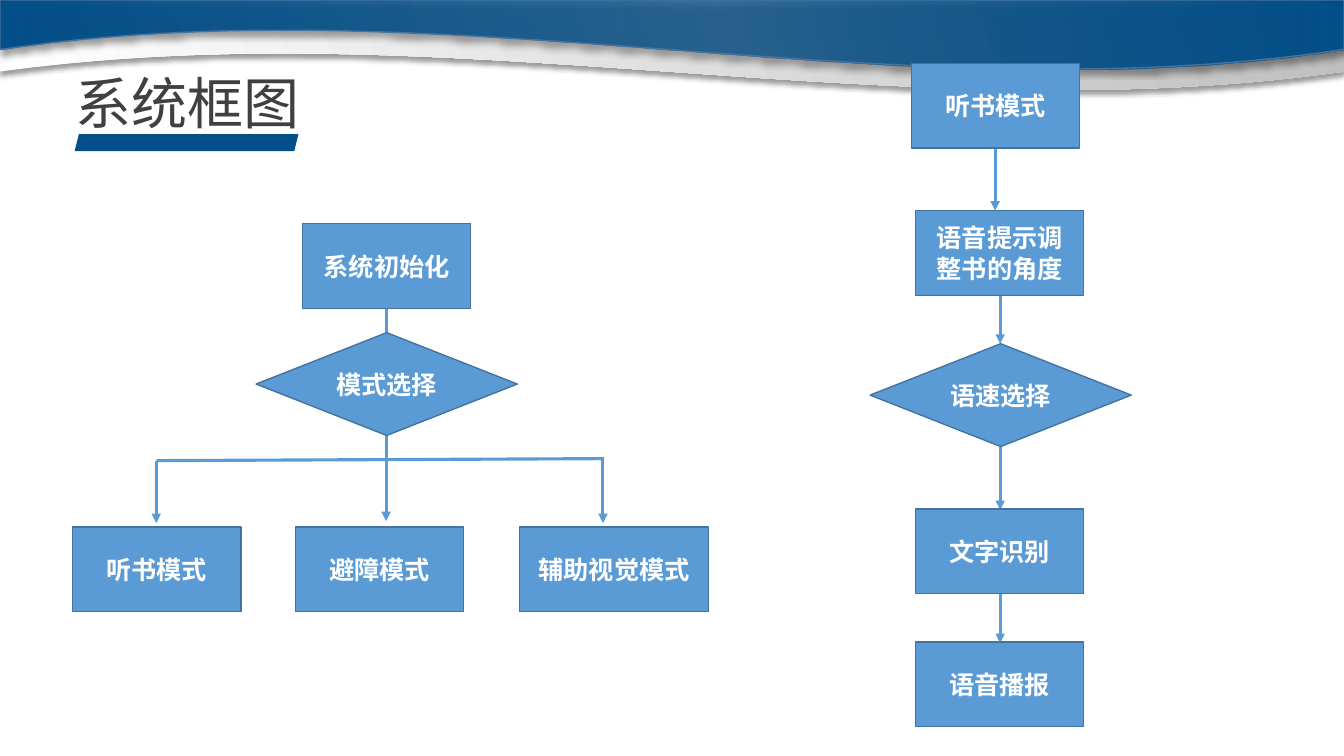
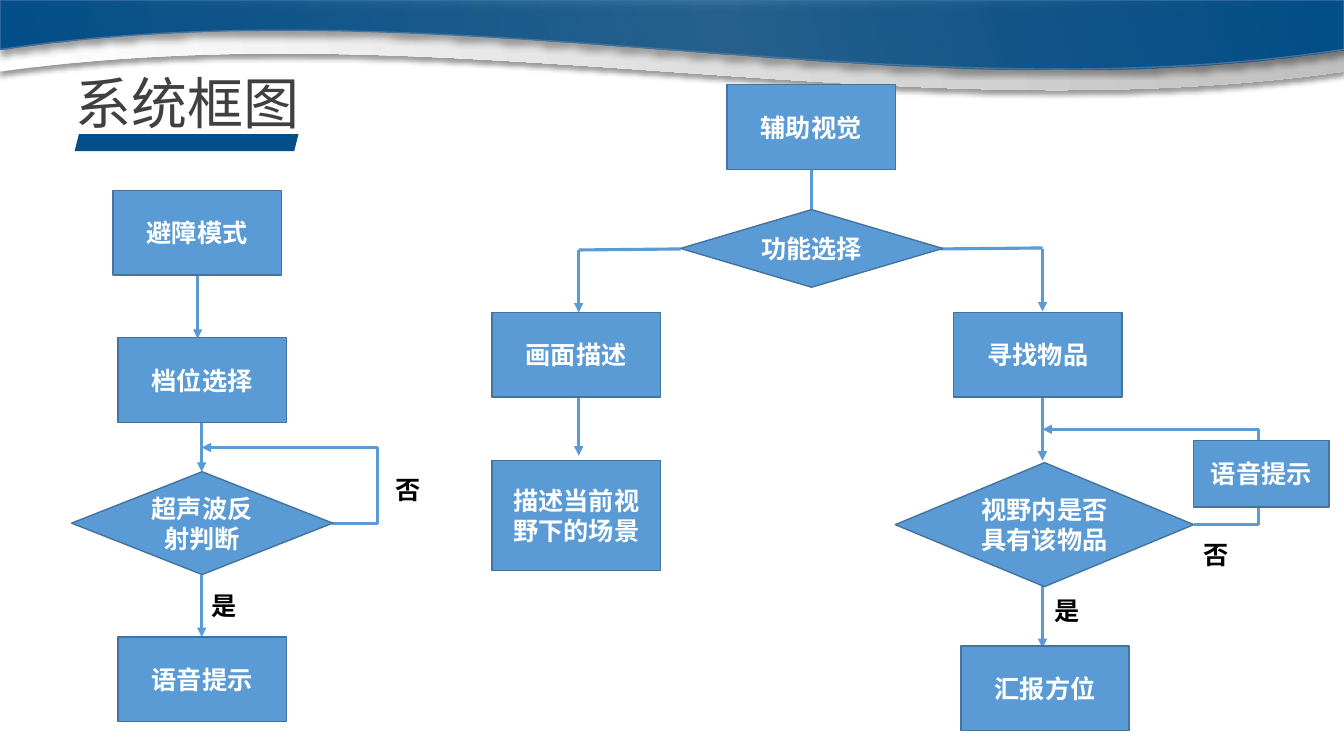
from dataclasses import dataclass, field

from pptx import Presentation
from pptx import util as u
from pptx.dml import color
from pptx.enum import shapes, text
from pptx.oxml import ns, parse_xml

COLORS = {
    "navy": "034F89", "box": "5B9BD5", "edge": "43739E", "title": "404040",
    "white": "FFFFFF", "silver": "BFBFBF", "black": "000000",
}
FONT = "Noto Sans CJK SC"
TITLE = "系统框图"
TITLE_FONT = {"name": FONT, "size": u.Pt(40), "bold": False}
LABEL_FONT = {"name": FONT, "size": u.Pt(18), "bold": True}
RECT = shapes.MSO_SHAPE.RECTANGLE
DECISION = shapes.MSO_SHAPE.FLOWCHART_DECISION
SLIDE_WIDTH = 13.33


@dataclass
class Node:
    label: str
    left: float
    top: float
    width: float = 1.67
    height: float = 0.84
    kind: int = RECT


@dataclass
class Link:
    start: tuple[float, float]
    end: tuple[float, float]
    arrow: bool = True
    bend: float | None = None  # elbow position as a share of the width


@dataclass
class Caption:
    label: str
    left: float
    top: float


@dataclass
class Band:
    edge: float  # height of the lower edge at the right side
    curve: list[tuple[float, float]]  # Bezier points, right to left
    stops: list[tuple[int, str, int]]  # position, colour, opacity
    outlined: bool


@dataclass
class Chart:
    links: list[Link]
    nodes: list[Node]
    captions: list[Caption] = field(default_factory=list)


def decision(label: str, left: float, top: float,
             width: float = 2.59, height: float = 1.02) -> Node:
    return Node(label, left, top, width, height, DECISION)


def down(x: float, top: float, bottom: float, arrow: bool = True) -> Link:
    return Link((x, top), (x, bottom), arrow)


BANDS = [
    Band(0.71, [(13.33, 0.71), (8.91, 1.34), (4.5, 0.1), (0.08, 0.7)],
         [(0, "white", 100), (100, "silver", 100)], False),
    Band(0.49, [(13.33, 0.49), (8.91, 1.16), (4.5, -0.16), (0.08, 0.48)],
         [(0, "navy", 100), (54, "navy", 75), (100, "navy", 100)], True),
]

CHARTS = [
    Chart(
        links=[
            down(1.55, 4.57, 5.19), down(5.98, 4.53, 5.19),
            Link((1.55, 4.57), (5.98, 4.55), False),
            down(3.83, 3.07, 4.55, False), down(3.83, 4.55, 5.17),
            down(9.87, 1.47, 2.09), down(9.92, 2.93, 3.41),
            down(9.92, 4.43, 5.06), down(9.92, 5.89, 6.38),
        ],
        nodes=[
            Node("系统初始化", 3, 2.22),
            decision("模式选择", 2.54, 3.3),
            Node("听书模式", 0.72, 5.23),
            Node("避障模式", 2.93, 5.23),
            Node("辅助视觉模式", 5.15, 5.23, 1.88),
            Node("听书模式", 9.04, 0.63),
            Node("语音提示调整书的角度", 9.08, 2.09),
            decision("语速选择", 8.63, 3.41),
            Node("文字识别", 9.08, 5.05),
            Node("语音播报", 9.08, 6.37),
        ],
    ),
    Chart(
        links=[
            down(8.05, 1.69, 2.08, False),
            Link((5.74, 2.48), (6.75, 2.47), False),
            Link((9.33, 2.47), (10.34, 2.46), False),
            down(5.74, 2.48, 3.1), down(10.34, 2.47, 3.09),
            down(5.74, 3.9, 4.52), down(10.34, 3.95, 4.57),
            down(10.34, 5.81, 6.43),
            Link((11.84, 5.2), (10.34, 4.26), bend=-0.43),
            down(1.96, 2.74, 3.36), down(2, 4.2, 4.68), down(2, 5.7, 6.32),
            Link((3.29, 5.19), (2, 4.44), bend=-0.35),
        ],
        nodes=[
            Node("辅助视觉", 7.21, 0.84),
            decision("功能选择", 6.75, 2.08, 2.6, 0.77),
            Node("画面描述", 4.88, 3.1),
            Node("描述当前视野下的场景", 4.88, 4.57, height=1.09),
            Node("寻找物品", 9.46, 3.1),
            decision("视野内是否具有该物品", 8.88, 4.59, 2.96, 1.23),
            Node("语音提示", 11.84, 4.37, 1.34, 0.66),
            Node("汇报方位", 9.53, 6.41),
            Node("避障模式", 1.12, 1.89),
            Node("档位选择", 1.17, 3.35),
            decision("超声波反射判断", 0.71, 4.68),
            Node("语音提示", 1.17, 6.32),
        ],
        captions=[
            Caption("是", 10.36, 5.86), Caption("否", 11.84, 5.3),
            Caption("是", 2, 5.81), Caption("否", 3.82, 4.66),
        ],
    ),
]


# Shared formatting
def rgb(name: str) -> color.RGBColor:
    return color.RGBColor.from_string(COLORS[name])


def element(tag: str, attributes: str = "", inner: str = ""):
    return parse_xml(f'<a:{tag} {ns.nsdecls("a")} {attributes}>{inner}</a:{tag}>')


def apply(target, values: dict) -> None:
    for name, value in values.items():
        setattr(target, name, value)


def write(box, words: str, font: dict, ink: str, frame_format: dict, align) -> None:
    frame = box.text_frame
    apply(frame, {"word_wrap": True, **frame_format})
    para = frame.paragraphs[0]
    para.alignment = align
    span = para.add_run()
    span.text = words
    apply(span.font, font)
    span.font.color.rgb = rgb(ink)
    span._r.get_or_add_rPr().append(element("ea", f'typeface="{FONT}"'))


def paint(box, fill: str, edge: str | None = None) -> None:
    box.shadow.inherit = False
    box.fill.solid()
    box.fill.fore_color.rgb = rgb(fill)
    outline(box, edge)


def outline(box, edge: str | None) -> None:
    if edge:
        box.line.color.rgb = rgb(edge)
        box.line.width = u.Pt(1)
    else:
        box.line.fill.background()


def place(left: float, top: float, width: float, height: float) -> list:
    return [u.Inches(value) for value in (left, top, width, height)]


# Wavy bands and title bar, kept on the layout
def bezier(points: list[tuple[float, float]], steps: int = 60) -> list:
    result = []
    for step in range(steps + 1):
        t = step / steps
        weights = ((1 - t) ** 3, 3 * t * (1 - t) ** 2, 3 * t * t * (1 - t), t ** 3)
        result.append(tuple(u.Inches(sum(w * point[axis] for w, point in zip(weights, points)))
                            for axis in (0, 1)))
    return result


def draw_band(page, band: Band):
    builder = page.shapes.build_freeform(0, 0)
    corner = (u.Inches(SLIDE_WIDTH), 0)
    builder.add_line_segments([corner, *bezier(band.curve), (0, u.Inches(band.edge))])
    wave = builder.convert_to_shape()
    outline(wave, "edge" if band.outlined else None)
    stops = "".join(
        f'<a:gs pos="{position * 1000}"><a:srgbClr val="{COLORS[name]}">'
        f'<a:alpha val="{opacity * 1000}"/></a:srgbClr></a:gs>'
        for position, name, opacity in band.stops)
    properties = wave.element.spPr
    properties.insert(2, element("gradFill", 'rotWithShape="1"',
                                 f'<a:gsLst>{stops}</a:gsLst><a:lin ang="{342 * 60000}" scaled="0"/>'))
    properties.append(element("effectLst", "", (
        f'<a:outerShdw blurRad="{u.Pt(4)}" dist="{u.Pt(3)}" dir="{90 * 60000}" rotWithShape="0">'
        f'<a:srgbClr val="{COLORS["black"]}"><a:alpha val="40000"/></a:srgbClr></a:outerShdw>')))
    return wave


def dress_layout(layout, page) -> None:
    bar = page.shapes.add_shape(shapes.MSO_SHAPE.PARALLELOGRAM, *place(0.74, 1.33, 2.22, 0.17))
    paint(bar, "navy")
    decorations = [*(draw_band(page, band) for band in BANDS), bar]
    for index, shape in enumerate(decorations):
        shape.element.nvSpPr.cNvPr.set("id", str(100 + index))
        layout.shapes.element.insert(2 + index, shape.element)


# Flowchart parts
def draw_title(page) -> None:
    title = page.shapes.title
    apply(title, dict(zip(("left", "top", "width", "height"), place(0.65, 0.63, 2.43, 0.77))))
    write(title, TITLE, TITLE_FONT, "title",
          {"vertical_anchor": text.MSO_ANCHOR.TOP,
           "auto_size": text.MSO_AUTO_SIZE.SHAPE_TO_FIT_TEXT}, text.PP_ALIGN.JUSTIFY)


def draw_link(page, link: Link) -> None:
    kinds = shapes.MSO_CONNECTOR
    kind = kinds.STRAIGHT if link.bend is None else kinds.ELBOW
    ends = [u.Inches(value) for value in (*link.start, *link.end)]
    line = page.shapes.add_connector(kind, *ends)
    line.line.color.rgb = rgb("box")
    line.line.width = u.Pt(2.25)
    properties = line.element.spPr
    if link.arrow:
        properties.find(ns.qn("a:ln")).append(element("tailEnd", 'type="triangle"'))
    if link.bend is not None:
        guide = f'name="adj1" fmla="val {round(link.bend * 100000)}"'
        geometry = properties.find(ns.qn("a:prstGeom"))
        geometry.get_or_add_avLst().append(element("gd", guide))
    properties.append(element("effectLst"))


def draw_node(page, node: Node) -> None:
    box = page.shapes.add_shape(node.kind, *place(node.left, node.top, node.width, node.height))
    paint(box, "box", "edge")
    write(box, node.label, LABEL_FONT, "white",
          {"vertical_anchor": text.MSO_ANCHOR.MIDDLE}, text.PP_ALIGN.CENTER)


def draw_caption(page, caption: Caption) -> None:
    box = page.shapes.add_textbox(*place(caption.left, caption.top, 0.25, 0.4))
    write(box, caption.label, LABEL_FONT, "black",
          {"auto_size": text.MSO_AUTO_SIZE.SHAPE_TO_FIT_TEXT}, text.PP_ALIGN.LEFT)


def draw_chart(page, chart: Chart) -> None:
    for draw, items in ((draw_link, chart.links), (draw_node, chart.nodes),
                        (draw_caption, chart.captions)):
        for item in items:
            draw(page, item)


def main() -> None:
    deck = Presentation()
    deck.slide_width, deck.slide_height = u.Inches(SLIDE_WIDTH), u.Inches(7.5)
    layout = deck.slide_layouts[5]
    pages = [deck.slides.add_slide(layout) for _ in CHARTS]
    dress_layout(layout, pages[0])
    for page, chart in zip(pages, CHARTS):
        draw_title(page)
        draw_chart(page, chart)
    deck.save("out.pptx")


if __name__ == "__main__":
    main()
